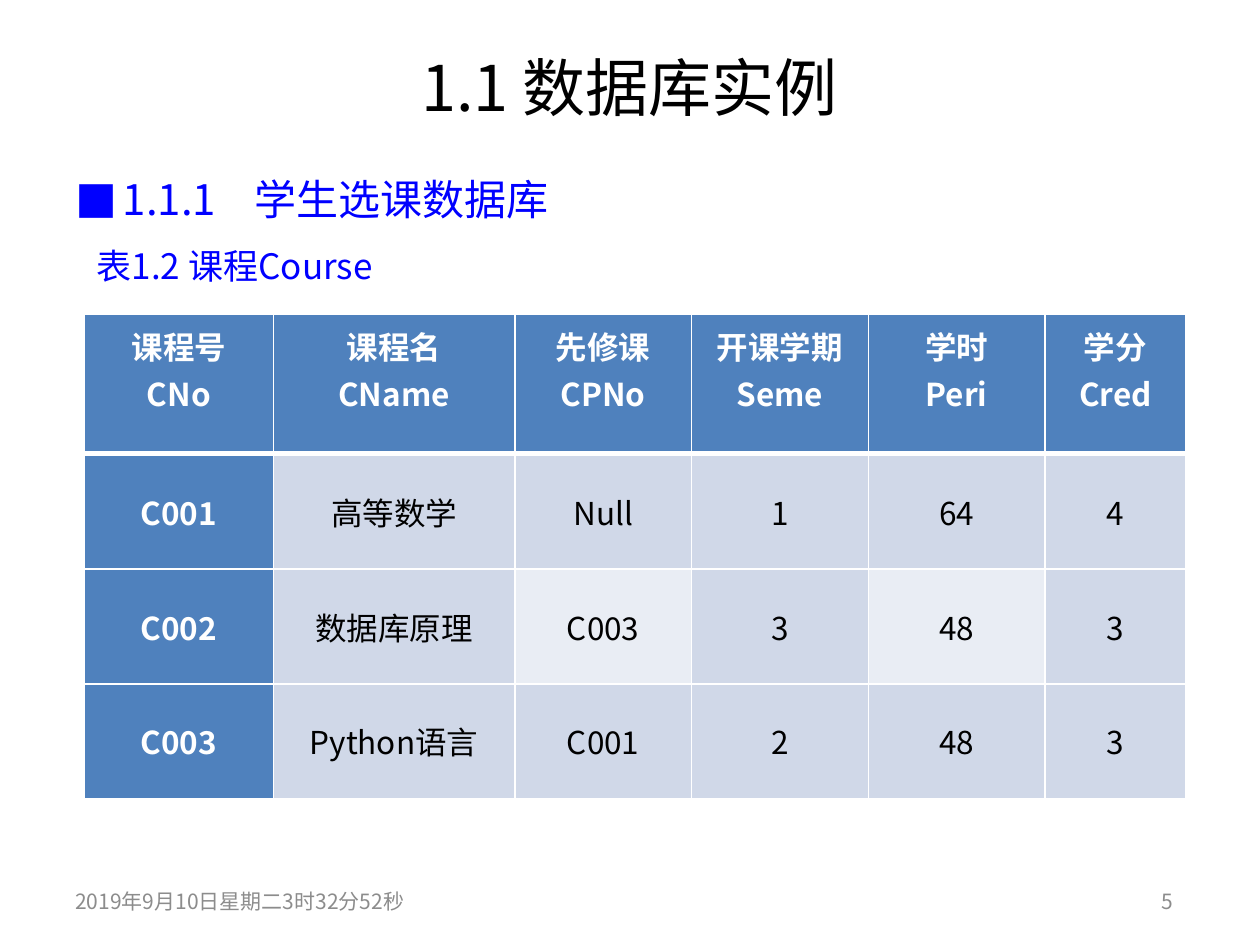
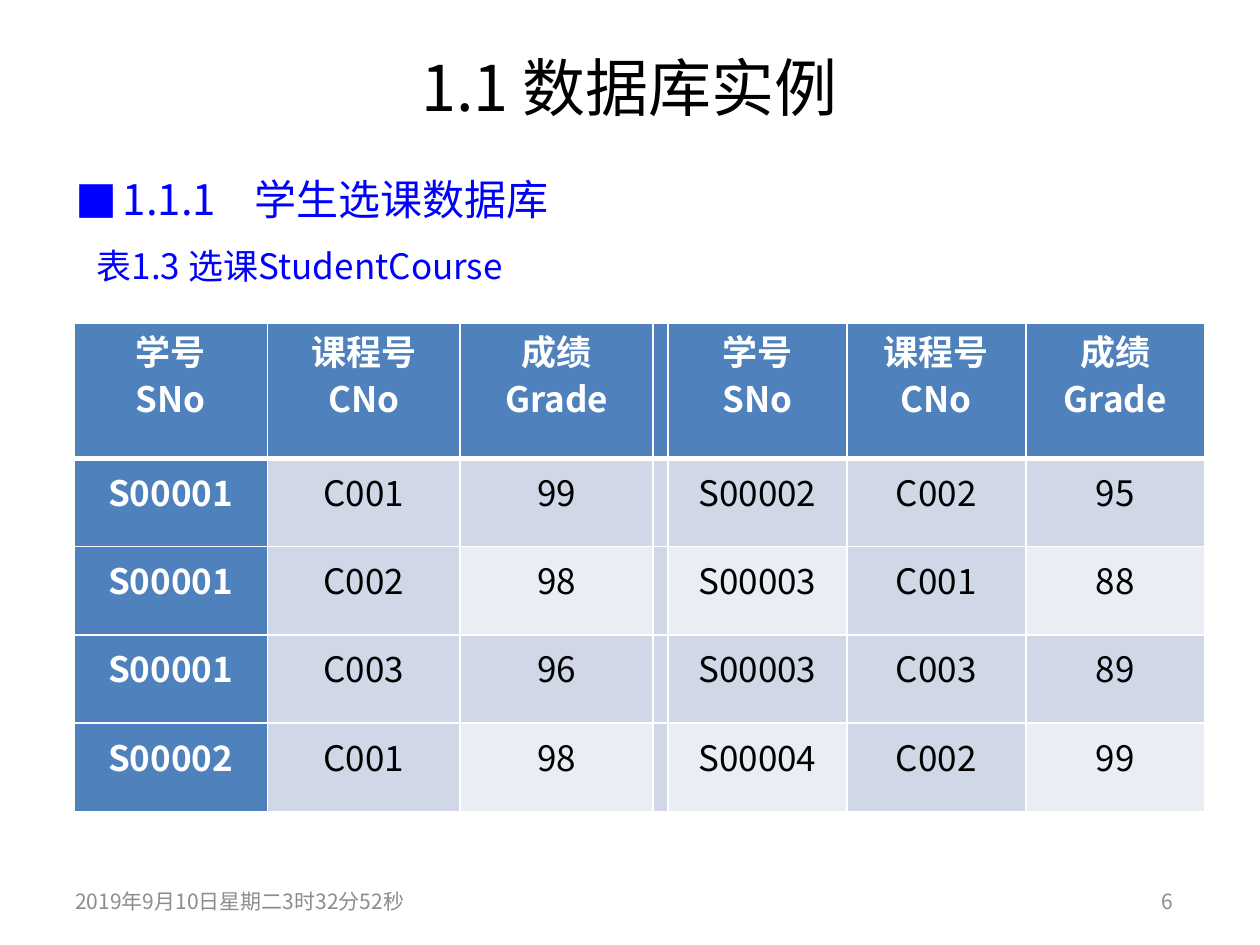
from dataclasses import dataclass

from lxml.etree import SubElement
from pptx import Presentation
from pptx.dml.color import RGBColor
from pptx.enum.text import MSO_ANCHOR, PP_ALIGN
from pptx.oxml import parse_xml
from pptx.oxml.ns import nsdecls, qn
from pptx.util import Pt


@dataclass(frozen=True)
class Theme:
    font: str = "Noto Sans CJK SC"
    black: str = "000000"
    white: str = "FFFFFF"
    blue: str = "0000FF"
    gray: str = "8C8C8C"
    header: str = "4F81BD"
    band: str = "D0D8E8"
    light_band: str = "E9EDF4"
    title_size: int = 36
    heading_size: int = 24
    caption_size: int = 20
    footer_size: int = 12


theme = Theme()

TABLE_SLIDES = [
    {
        "number": "5",
        "caption": "表1.2 课程Course",
        "caption_width": 193,
        "left": 48.2, "top": 179.3, "size": 18, "line_spacing": None,
        "widths": [108, 138, 101, 101, 101, 80.5],
        "heights": [80, 66, 65.5, 65.5],
        "rows": [
            ["课程号\nCNo", "课程名\nCName", "先修课\nCPNo", "开课学期\nSeme", "学时\nPeri", "学分\nCred"],
            ["C001", "高等数学", "Null", "1", "64", "4"],
            ["C002", "数据库原理", "C003", "3", "48", "3"],
            ["C003", "Python语言", "C001", "2", "48", "3"],
        ],
    },
    {
        "number": "6",
        "caption": "表1.3\u2002选课StudentCourse".replace("\u2002", " "),
        "caption_width": 430.5,
        "left": 42.5, "top": 185, "size": 20, "line_spacing": Pt(16),
        "widths": [110.25] * 3 + [8.5] + [102.25] * 3,
        "heights": [77] + [50.4] * 4,
        "rows": [
            ["学号\nSNo", "课程号\nCNo", "成绩\nGrade", "", "学号\nSNo", "课程号\nCNo", "成绩\nGrade"],
            ["S00001", "C001", "99", "", "S00002", "C002", "95"],
            ["S00001", "C002", "98", "", "S00003", "C001", "88"],
            ["S00001", "C003", "96", "", "S00003", "C003", "89"],
            ["S00002", "C001", "98", "", "S00004", "C002", "99"],
        ],
    },
]


def write(text_frame, text, size, color, align=PP_ALIGN.LEFT, bold=False):
    """Fill a text frame and give Latin and Chinese text the same font."""
    text_frame.text = text
    text_frame.word_wrap = True
    for paragraph in text_frame.paragraphs:
        paragraph.alignment = align
        paragraph.space_before = Pt(0)
        for run in paragraph.runs:
            run.font.size = Pt(size)
            run.font.bold = bold
            run.font.name = theme.font
            run.font.color.rgb = RGBColor.from_string(color)
            SubElement(run.font._element, qn("a:ea"), typeface=theme.font)


def place(shape, left, top, width, height):
    shape.left, shape.top, shape.width, shape.height = Pt(left), Pt(top), Pt(width), Pt(height)


presentation = Presentation()
presentation.slide_width, presentation.slide_height = Pt(720), Pt(540)

for content in TABLE_SLIDES:
    slide = presentation.slides.add_slide(presentation.slide_layouts[1])

    title = slide.shapes.title
    place(title, 36, 21.6, 647.3, 55.4)
    write(title.text_frame, "1.1 数据库实例", theme.title_size, theme.black, PP_ALIGN.CENTER)
    title.text_frame.vertical_anchor = MSO_ANCHOR.MIDDLE

    heading = slide.placeholders[1]
    place(heading, 36, 88.6, 648, 45.4)
    write(heading.text_frame, "1.1.1\t学生选课数据库", theme.heading_size, theme.blue)
    paragraph = heading.text_frame.paragraphs[0]
    paragraph.line_spacing = Pt(36)
    properties = paragraph._p.get_or_add_pPr()
    properties.set("marL", str(Pt(27)))
    properties.set("indent", str(Pt(-27)))
    SubElement(properties, qn("a:buFont"), typeface=theme.font)
    SubElement(properties, qn("a:buChar"), char="■")
    tabs = SubElement(properties, qn("a:tabLst"))
    SubElement(tabs, qn("a:tab"), pos=str(Pt(102)), algn="l")

    for text, left, top, width, height, size, color, align in [
        ("2019年9月10日星期二3时32分52秒", 36, 500.5, 216, 28.8, theme.footer_size, theme.gray, PP_ALIGN.LEFT),
        (content["number"], 516.2, 500.5, 161.3, 28.8, theme.footer_size, theme.gray, PP_ALIGN.RIGHT),
        (content["caption"], 48.2, 136, content["caption_width"], 31.7, theme.caption_size, theme.blue, PP_ALIGN.LEFT),
    ]:
        box = slide.shapes.add_textbox(Pt(left), Pt(top), Pt(width), Pt(height))
        write(box.text_frame, text, size, color, align)
        box.text_frame.vertical_anchor = MSO_ANCHOR.MIDDLE

    rows, widths, heights = content["rows"], content["widths"], content["heights"]
    table = slide.shapes.add_table(
        len(rows), len(widths), Pt(content["left"]), Pt(content["top"]), Pt(sum(widths)), Pt(sum(heights))
    ).table
    table.first_row = table.horz_banding = False
    for column, width in zip(table.columns, widths):
        column.width = Pt(width)

    for row_index, (row, height) in enumerate(zip(rows, heights)):
        table.rows[row_index].height = Pt(height)
        for column_index, text in enumerate(row):
            cell = table.cell(row_index, column_index)
            is_header = row_index == 0
            is_key = is_header or column_index == 0
            cell.margin_left = cell.margin_right = Pt(1.5)
            cell.margin_top = cell.margin_bottom = Pt(0)
            cell.vertical_anchor = MSO_ANCHOR.MIDDLE
            write(cell.text_frame, text, content["size"], theme.white if is_key else theme.black,
                  PP_ALIGN.CENTER, is_key)
            for paragraph in cell.text_frame.paragraphs:
                paragraph.line_spacing = Pt(9) if is_header else content["line_spacing"]
            if is_header and text:
                cell.text_frame.paragraphs[1].space_before = Pt(18)

            is_light = row_index % 2 == 0 and column_index % 2 == 0
            fill = theme.header if is_key else theme.light_band if is_light else theme.band
            cell.fill.solid()
            cell.fill.fore_color.rgb = RGBColor.from_string(fill)
            edges = {"L": 1, "R": 1, "T": 3 if row_index == 1 else 1, "B": 3 if is_header else 1}
            for position, (edge, weight) in enumerate(edges.items()):
                cell._tc.get_or_add_tcPr().insert(position, parse_xml(
                    f'<a:ln{edge} {nsdecls("a")} w="{Pt(weight)}"><a:solidFill>'
                    f'<a:srgbClr val="{theme.white}"/></a:solidFill></a:ln{edge}>'))

presentation.save("out.pptx")
